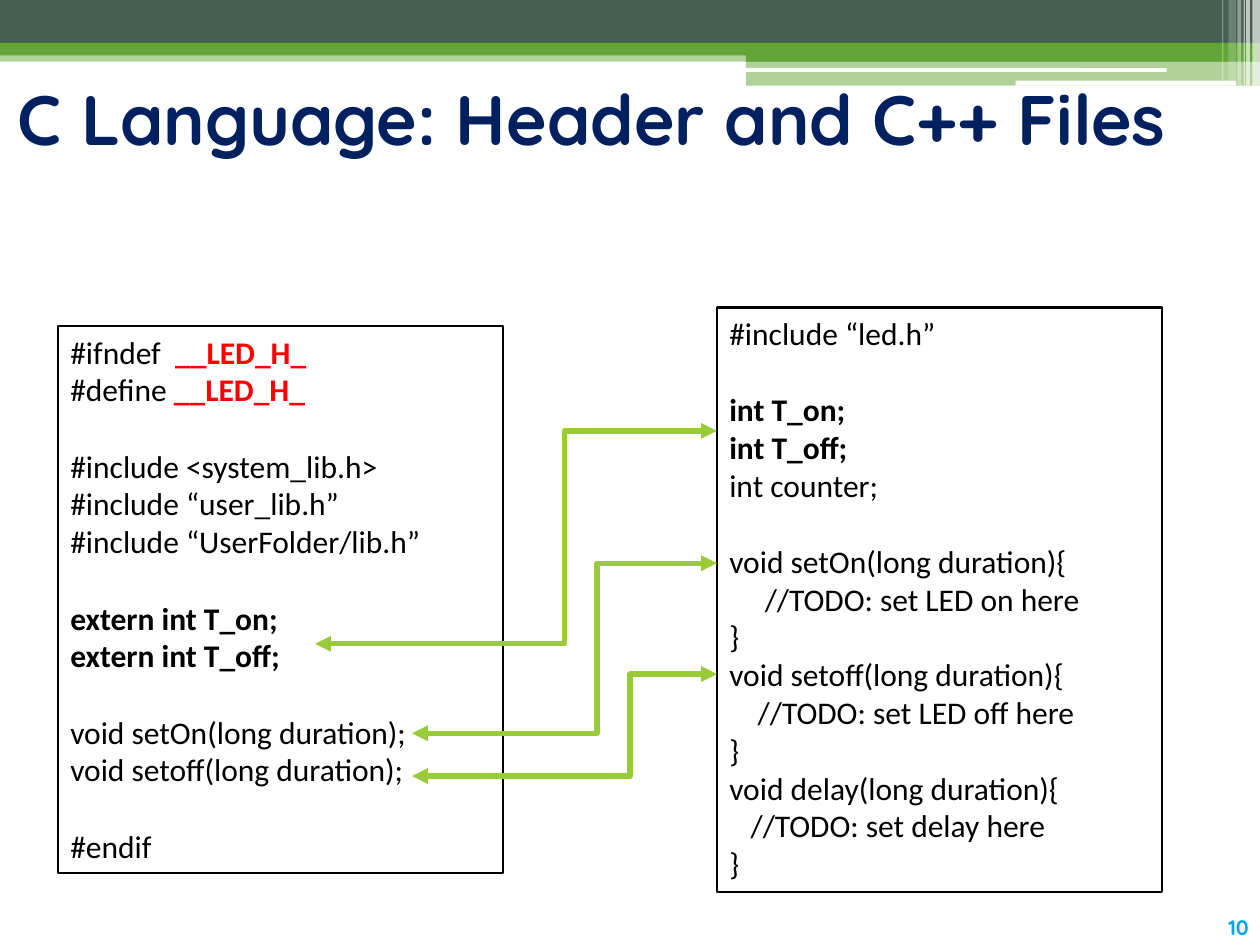
from dataclasses import dataclass

from lxml import etree
from pptx import Presentation
from pptx.dml.color import RGBColor
from pptx.enum.shapes import MSO_CONNECTOR, MSO_SHAPE
from pptx.enum.text import MSO_ANCHOR, MSO_AUTO_SIZE, PP_ALIGN
from pptx.oxml.ns import qn
from pptx.util import Inches, Pt

RECTANGLE, ROUNDED = MSO_SHAPE.RECTANGLE, MSO_SHAPE.ROUNDED_RECTANGLE
ELBOW = MSO_CONNECTOR.ELBOW
TOP, MIDDLE = MSO_ANCHOR.TOP, MSO_ANCHOR.MIDDLE
LEFT, CENTER = PP_ALIGN.LEFT, PP_ALIGN.CENTER
FIT_SHAPE, NO_FIT = MSO_AUTO_SIZE.SHAPE_TO_FIT_TEXT, MSO_AUTO_SIZE.NONE


@dataclass(frozen=True)
class Theme:
    heading_font: str = "Quicksand"
    code_font: str = "Calibri"
    title_size: int = 40
    code_size: int = 18
    number_size: int = 12
    blank_line: int = 22
    title: str = "002060"
    number: str = "08A5EF"
    code: str = "000000"
    guard: str = "FF0000"
    dark: str = "455F51"
    green: str = "63A537"
    arrow: str = "99CB38"
    white: str = "FFFFFF"


THEME = Theme()
WIDTH, HEIGHT = 10, 7.5
TITLE = "C Language: Header and C++ Files"
PAGE_NUMBER = "10"

# Code: blocks of lines, each line a list of (text, style) runs
HEADER_CODE = [
    [[("#ifndef  ", ""), ("__LED_H_", "guard")],
     [("#define ", ""), ("__LED_H_", "guard")]],
    [[("#include <system_lib.h>", "")],
     [("#include “user_lib.h”", "")],
     [("#include “UserFolder/lib.h”", "")]],
    [[("extern int T_on;", "bold")],
     [("extern int T_off;", "bold")]],
    [[("void setOn(long duration);", "")],
     [("void setoff(long duration);", "")]],
    [[("#endif", "")]],
]
SOURCE_CODE = [
    [[("#include “led.h”", "")]],
    [[("int T_on;", "bold")],
     [("int T_off;", "bold")],
     [("int counter;", "")]],
    [[("void setOn(long duration){", "")],
     [("     //TODO: set LED on here", "")],
     [("}", "")],
     [("void setoff(long duration){", "")],
     [("    //TODO: set LED off here", "")],
     [("}", "")],
     [("void delay(long duration){", "")],
     [("   //TODO: set delay here", "")],
     [("}", "")]],
]

BOX_WIDTH = 3.53
HEADER_LEFT, SOURCE_LEFT = 0.46, 5.69
CODE_BOXES = [  # left, top, height, code
    (HEADER_LEFT, 2.59, 4.34, HEADER_CODE),
    (SOURCE_LEFT, 2.44, 4.64, SOURCE_CODE),
]
LINKS = [  # start x, start y, end y, x of the bend
    (2.5, 5.11, 3.42, 4.48),
    (3.27, 5.82, 4.47, 4.74),
    (3.27, 6.16, 5.35, 5),
]

STEP = 5.92  # where the lower band begins
BANDS = [  # shape, left, top, width, height, colour, opacity %
    (RECTANGLE, 0, 0.4, WIDTH, 0.09, THEME.green, 50),
    (RECTANGLE, 0, 0, WIDTH, 0.34, THEME.dark, 100),
    (RECTANGLE, 0, 0.34, WIDTH, 0.1, THEME.green, 100),
    (RECTANGLE, STEP, 0.39, WIDTH - STEP, 0.1, THEME.green, 100),
    (RECTANGLE, STEP, 0.48, WIDTH - STEP, 0.2, THEME.green, 50),
    (ROUNDED, 5.91, 0.54, 3.35, 0.03, THEME.white, 100),
    (ROUNDED, 8.06, 0.64, 1.75, 0.04, THEME.white, 100),
]
STRIPES = [  # left, width, height, opacity %
    (9.94, 0.06, 0.68, 65),
    (9.89, 0.03, 0.68, 65),
    (9.87, 0.01, 0.68, 60),
    (9.82, 0.03, 0.68, 40),
    (9.75, 0.06, 0.64, 20),
    (9.7, 0.01, 0.64, 30),
]


def rgb(colour):
    return RGBColor.from_string(colour)


def add_run(paragraph, text, font, size, colour, bold):
    run = paragraph.add_run()
    run.text = text
    run.font.name = font
    run.font.size = Pt(size)
    run.font.bold = bold
    run.font.color.rgb = rgb(colour)


def add_band(slide, kind, left, top, width, height, colour, opacity):
    band = slide.shapes.add_shape(
        kind, Inches(left), Inches(top), Inches(width), Inches(height))
    band.shadow.inherit = False
    band.line.fill.background()
    band.fill.solid()
    band.fill.fore_color.rgb = rgb(colour)
    if opacity < 100:
        fill = band.fill._xPr.find(qn("a:solidFill"))
        etree.SubElement(fill[0], qn("a:alpha"), val=str(opacity * 1000))


def add_title(slide):
    title = slide.shapes.title
    title.left, title.top = Inches(0.04), Inches(0.52)
    title.width, title.height = Inches(9.85), Inches(0.82)
    frame = title.text_frame
    frame.auto_size = NO_FIT
    frame.word_wrap = True
    frame.vertical_anchor = MIDDLE
    paragraph = frame.paragraphs[0]
    paragraph.alignment = LEFT
    add_run(paragraph, TITLE, THEME.heading_font, THEME.title_size,
            THEME.title, True)


def add_page_number(slide):
    box = slide.shapes.add_textbox(
        Inches(9.64), Inches(7.21), Inches(0.38), Inches(0.3))
    frame = box.text_frame
    frame.word_wrap = False
    frame.auto_size = FIT_SHAPE
    paragraph = frame.paragraphs[0]
    paragraph.alignment = CENTER
    add_run(paragraph, PAGE_NUMBER, THEME.heading_font, THEME.number_size,
            THEME.number, True)


def add_code_box(slide, left, top, height, blocks):
    box = slide.shapes.add_shape(
        RECTANGLE, Inches(left), Inches(top), Inches(BOX_WIDTH), Inches(height))
    box.shadow.inherit = False
    box.fill.background()
    box.line.color.rgb = rgb(THEME.code)
    box.line.width = Pt(1.25)
    frame = box.text_frame
    frame.word_wrap = True
    frame.auto_size = FIT_SHAPE
    frame.vertical_anchor = TOP
    lines = [(row, number > 0 and row is block[0])
             for number, block in enumerate(blocks) for row in block]
    for index, (row, opens_block) in enumerate(lines):
        paragraph = frame.add_paragraph() if index else frame.paragraphs[0]
        paragraph.alignment = LEFT
        if opens_block:
            paragraph.space_before = Pt(THEME.blank_line)
        for text, style in row:
            colour = THEME.guard if style == "guard" else THEME.code
            add_run(paragraph, text, THEME.code_font, THEME.code_size,
                    colour, style != "")


def add_link(slide, start_x, start_y, end_y, bend_x):
    """Join a declaration to its definition with a two-headed elbow arrow."""
    link = slide.shapes.add_connector(
        ELBOW, Inches(start_x), Inches(start_y),
        Inches(SOURCE_LEFT), Inches(end_y))
    link.line.color.rgb = rgb(THEME.arrow)
    link.line.width = Pt(3)
    properties = link._element.spPr
    bend = round((bend_x - start_x) / (SOURCE_LEFT - start_x) * 100000)
    guides = properties.find(qn("a:prstGeom")).find(qn("a:avLst"))
    etree.SubElement(guides, qn("a:gd"), name="adj1", fmla=f"val {bend}")
    outline = properties.find(qn("a:ln"))
    for end in ("a:headEnd", "a:tailEnd"):
        etree.SubElement(outline, qn(end), type="triangle")
    etree.SubElement(properties, qn("a:effectLst"))


def main():
    presentation = Presentation()
    presentation.slide_width = Inches(WIDTH)
    presentation.slide_height = Inches(HEIGHT)
    slide = presentation.slides.add_slide(presentation.slide_layouts[5])
    for band in BANDS:
        add_band(slide, *band)
    for left, width, height, opacity in STRIPES:
        add_band(slide, RECTANGLE, left, 0, width, height, THEME.white, opacity)
    add_page_number(slide)
    add_title(slide)
    for box in CODE_BOXES:
        add_code_box(slide, *box)
    for link in LINKS:
        add_link(slide, *link)
    presentation.save("out.pptx")


if __name__ == "__main__":
    main()
